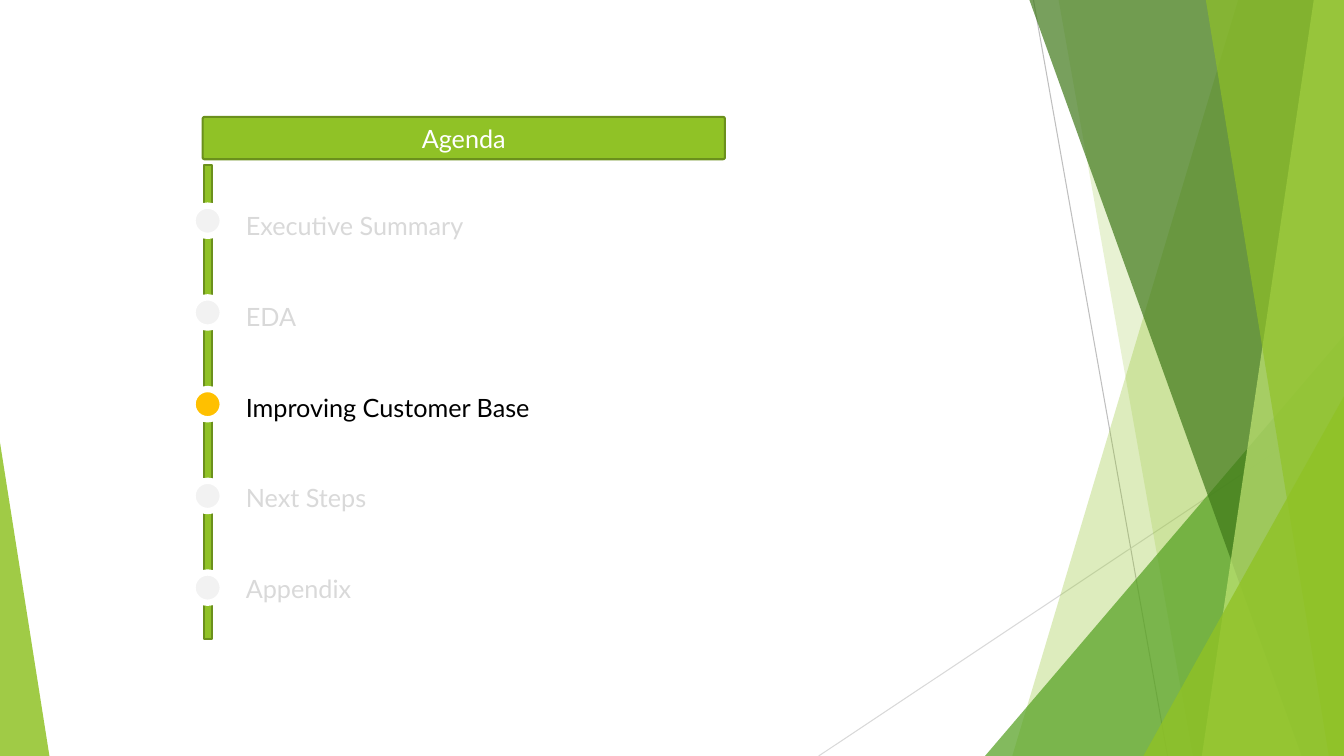
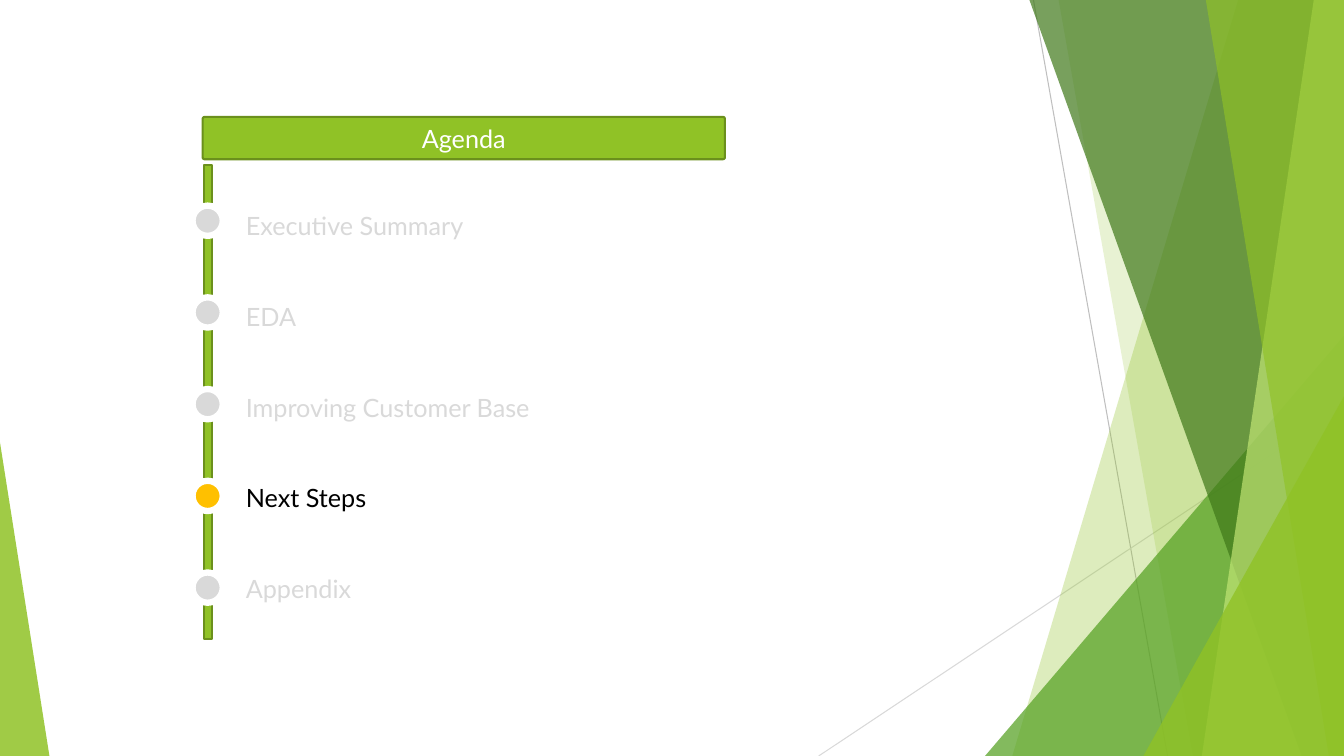
from lxml.etree import SubElement
from pptx import Presentation
from pptx.dml.color import RGBColor
from pptx.enum.shapes import MSO_CONNECTOR, MSO_SHAPE as SHAPE
from pptx.enum.text import MSO_ANCHOR, MSO_AUTO_SIZE, PP_ALIGN
from pptx.oxml.ns import qn
from pptx.util import Inches, Pt

W, H = 13.33, 7.5
FONT, SIZE, LEADING = "Lato", 18, 1.5
C = {
    "green": "90C226", "edge": "6B901C", "leaf": "54A021", "forest": "3F7819",
    "lime": "C0E474", "amber": "FFC000", "white": "FFFFFF", "black": "000000",
    "pale": "F2F2F2", "muted": "D9D9D9", "rule": "BFBFBF",
}

AGENDA = ["Executive Summary", "EDA", "Improving Customer Base", "Next Steps", "Appendix"]
SLIDES = [("Improving Customer Base", "pale"), ("Next Steps", "muted")]

RULES = [((10.25, 0), (11.58, H), "rule"), ((W, 4.03), (8.12, H), "muted")]
FACETS = [
    ("band", (12.28, 10.04), "green", 30),
    ("band", (10.5, 11.83), "green", 20),
    ("corner", (9.77, 3.33, 3.56, 1), "leaf", 72),
    ("band", (10.21, 12.91), "forest", 70),
    ("band", (13.03, 11.92), "lime", 70),
    ("band", (11.96, 13.18), "green", 65),
    ("corner", (11.34, 3.93, 1.99, 1), "green", 80),
    ("corner", (0, 4.39, 0.49, 0), "green", 85),
]

DOT, DOT_LEFT, DOT_TOP, DOT_PITCH = 0.3, 1.91, 2.04, 0.91


def rgb(name):
    return RGBColor.from_string(C[name])


def paint(sp, fill, line=None, width=0):
    sp.shadow.inherit = False
    sp.fill.solid()
    sp.fill.fore_color.rgb = rgb(fill)
    if line:
        sp.line.color.rgb = rgb(line)
        sp.line.width = Pt(width)
    else:
        sp.line.fill.background()


def add_shape(slide, kind, box, *style):
    sp = slide.shapes.add_shape(kind, *map(Inches, box))
    paint(sp, *style)
    return sp


def style_text(p, color):
    for r in p.runs:
        r.font.name, r.font.size = FONT, Pt(SIZE)
        r.font.color.rgb = rgb(color)


def add_rule(slide, start, end, color):
    line = slide.shapes.add_connector(MSO_CONNECTOR.STRAIGHT, *map(Inches, start + end))
    line.line.color.rgb = rgb(color)
    line.line.width = Pt(0.75)
    SubElement(line.element.spPr, qn("a:effectLst"))


def add_facet(slide, kind, geometry, color, opacity):
    if kind == "band":
        top, bottom = geometry
        outline = [(top, 0), (W, 0), (W, H), (bottom, H)]
        points = [(Inches(x), Inches(y)) for x, y in outline]
        pen = slide.shapes.build_freeform(*points[0])
        pen.add_line_segments(points[1:], close=True)
        sp = pen.convert_to_shape()
        paint(sp, color)
    else:
        left, top, width, apex = geometry
        sp = add_shape(slide, SHAPE.ISOSCELES_TRIANGLE, (left, top, width, H - top), color)
        sp.adjustments[0] = apex
    tint = sp.element.spPr.find(qn("a:solidFill"))[0]
    SubElement(tint, qn("a:alpha"), val=str(opacity * 1000))


def decorate_layout(layout, slide):
    """Draw the shared artwork on a slide, then move it to the layout."""
    for ph in list(layout.placeholders):
        layout.shapes.element.remove(ph.element)
    for rule in RULES:
        add_rule(slide, *rule)
    for facet in FACETS:
        add_facet(slide, *facet)
    for sp in list(slide.shapes):
        layout.shapes.element.append(sp.element)


def add_agenda(slide, current, idle_dot):
    add_shape(slide, SHAPE.RECTANGLE, (2.02, 1.64, 0.08, 4.7), "green", "edge", 1.5)

    header = add_shape(slide, SHAPE.ROUNDED_RECTANGLE, (2.01, 1.16, 5.18, 0.42), "green", "edge", 1.5)
    header.adjustments[0] = 0.045
    tf = header.text_frame
    tf.text = "Agenda"
    tf.vertical_anchor = MSO_ANCHOR.MIDDLE
    tf.paragraphs[0].alignment = PP_ALIGN.CENTER
    style_text(tf.paragraphs[0], "white")

    tf = slide.shapes.add_textbox(*map(Inches, (2.34, 1.89, 5.06, 4.19))).text_frame
    tf.word_wrap = True
    tf.auto_size = MSO_AUTO_SIZE.SHAPE_TO_FIT_TEXT
    tf.text = "\n".join(AGENDA)
    for i, (item, p) in enumerate(zip(AGENDA, tf.paragraphs)):
        active = item == current
        p.line_spacing = LEADING
        p.space_before = Pt(SIZE * 1.2 * LEADING if i else 0)
        style_text(p, "black" if active else "muted")
        box = (DOT_LEFT, DOT_TOP + i * DOT_PITCH, DOT, DOT)
        add_shape(slide, SHAPE.OVAL, box, "amber" if active else idle_dot, "white", 4.5)


def main():
    prs = Presentation()
    prs.slide_width, prs.slide_height = Inches(W), Inches(H)
    blank = prs.slide_layouts[6]
    slides = [prs.slides.add_slide(blank) for _ in SLIDES]
    decorate_layout(blank, slides[0])
    for slide, content in zip(slides, SLIDES):
        add_agenda(slide, *content)
    prs.save("out.pptx")


if __name__ == "__main__":
    main()
